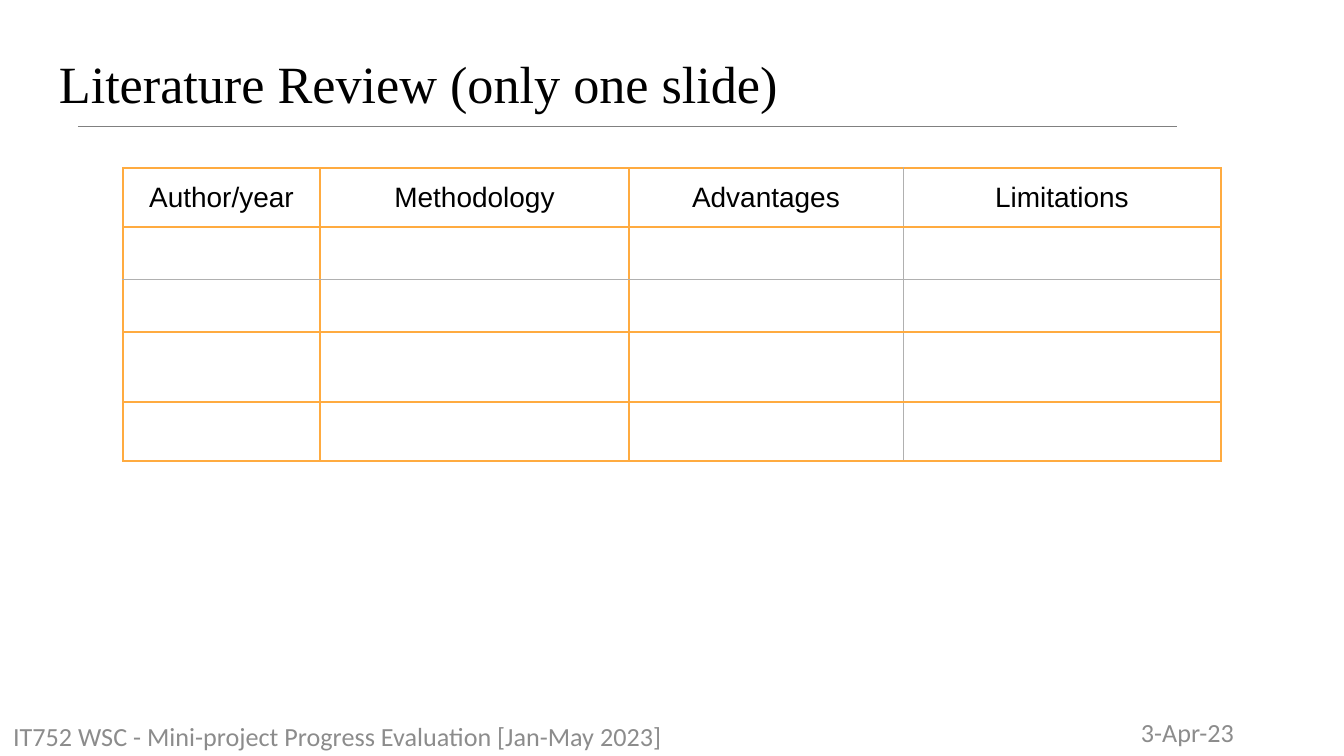
import dataclasses
import pptx
import pptx.util
import pptx.dml.color
import pptx.enum.shapes
import pptx.enum.text
import pptx.oxml.ns
import lxml.etree

SCALE = 914400 / 134.4
ALIGN = pptx.enum.text.PP_ALIGN
ANCHOR = pptx.enum.text.MSO_ANCHOR


@dataclasses.dataclass(frozen=True)
class Theme:
    ink: str = "000000"
    muted: str = "8C8C8C"
    rule: str = "808080"
    accent: str = "FFAB40"
    faint: str = "B0B0B0"
    serif: str = "Times New Roman"
    sans: str = "Arial"
    plain: str = "Calibri"
    title: int = 28
    body: int = 15
    foot: int = 14


THEME = Theme()


def px(n):
    return pptx.util.Emu(round(n * SCALE))


def color(code):
    return pptx.dml.color.RGBColor.from_string(code)


def style(para, face, size, code, align):
    para.alignment = align
    para.font.name = face
    para.font.size = pptx.util.Pt(size)
    para.font.color.rgb = color(code)


def label(slide, box, text, face, size, code, align=ALIGN.LEFT,
          anchor=ANCHOR.MIDDLE, inset=(13, 7, 13, 7)):
    frame = slide.shapes.add_textbox(*map(px, box)).text_frame
    frame.word_wrap = True
    frame.vertical_anchor = anchor
    (frame.margin_left, frame.margin_top,
     frame.margin_right, frame.margin_bottom) = map(px, inset)
    frame.text = text
    style(frame.paragraphs[0], face, size, code, align)


def header(slide, box, text):
    left, top, width, height = box
    line = slide.shapes.add_connector(
        pptx.enum.shapes.MSO_CONNECTOR.STRAIGHT,
        px(left + 32), px(top + 95), px(left + 1131), px(top + 95))
    line.line.color.rgb = color(THEME.rule)
    line.line.width = pptx.util.Pt(0.5)
    lxml.etree.SubElement(line._element.spPr, pptx.oxml.ns.qn("a:effectLst"))
    label(slide, box, text, THEME.serif, THEME.title, THEME.ink,
          anchor=ANCHOR.TOP, inset=(13, 20, 13, 6))


def border(cell, side, code, width):
    qn = pptx.oxml.ns.qn
    props = cell._tc.get_or_add_tcPr()
    line = lxml.etree.SubElement(props, qn("a:ln" + side),
                                 w=str(pptx.util.Pt(width)))
    fill = lxml.etree.SubElement(line, qn("a:solidFill"))
    lxml.etree.SubElement(fill, qn("a:srgbClr"), val=code)


def review(slide, box, heads, cols, rows):
    grid = slide.shapes.add_table(len(rows), len(cols), *map(px, box)).table
    grid.first_row = grid.horz_banding = False
    for col, width in zip(grid.columns, cols):
        col.width = px(width)
    for row, height in zip(grid.rows, rows):
        row.height = px(height)
    strong, weak = (THEME.accent, 1), (THEME.faint, 0.5)
    for r in range(len(rows)):
        for c, head in enumerate(heads):
            cell = grid.cell(r, c)
            for side, thin in (("L", c == 3), ("R", c == 2),
                               ("T", r == 2), ("B", r == 1)):
                border(cell, side, *(weak if thin else strong))
            cell.fill.background()
            cell.vertical_anchor = ANCHOR.MIDDLE
            cell.margin_left = cell.margin_right = cell.margin_top = px(1)
            cell.margin_bottom = 0
            if r == 0:
                cell.text = head
            style(cell.text_frame.paragraphs[0], THEME.sans, THEME.body,
                  THEME.ink, ALIGN.CENTER)


def footer(slide, box, note, date):
    left, top, width, height = box
    look = THEME.plain, THEME.foot, THEME.muted
    label(slide, (left + width - 313, top, 313, 34), date, *look, ALIGN.CENTER)
    label(slide, (left, top, 796, height), note, *look)


def main():
    deck = pptx.Presentation()
    deck.slide_width, deck.slide_height = px(1344), px(756)
    slide = deck.slides.add_slide(deck.slide_layouts[6])
    header(slide, (46, 31, 1253, 85), "Literature Review (only one slide)")
    footer(slide, (0, 715, 1344, 42),
           "IT752 WSC - Mini-project Progress Evaluation [Jan-May 2023]",
           "3-Apr-23")
    review(slide, (123, 168, 1098, 293),
           ("Author/year", "Methodology", "Advantages", "Limitations"),
           (197, 309, 274, 318), (59, 52, 53, 70, 59))
    deck.save("out.pptx")


main()
